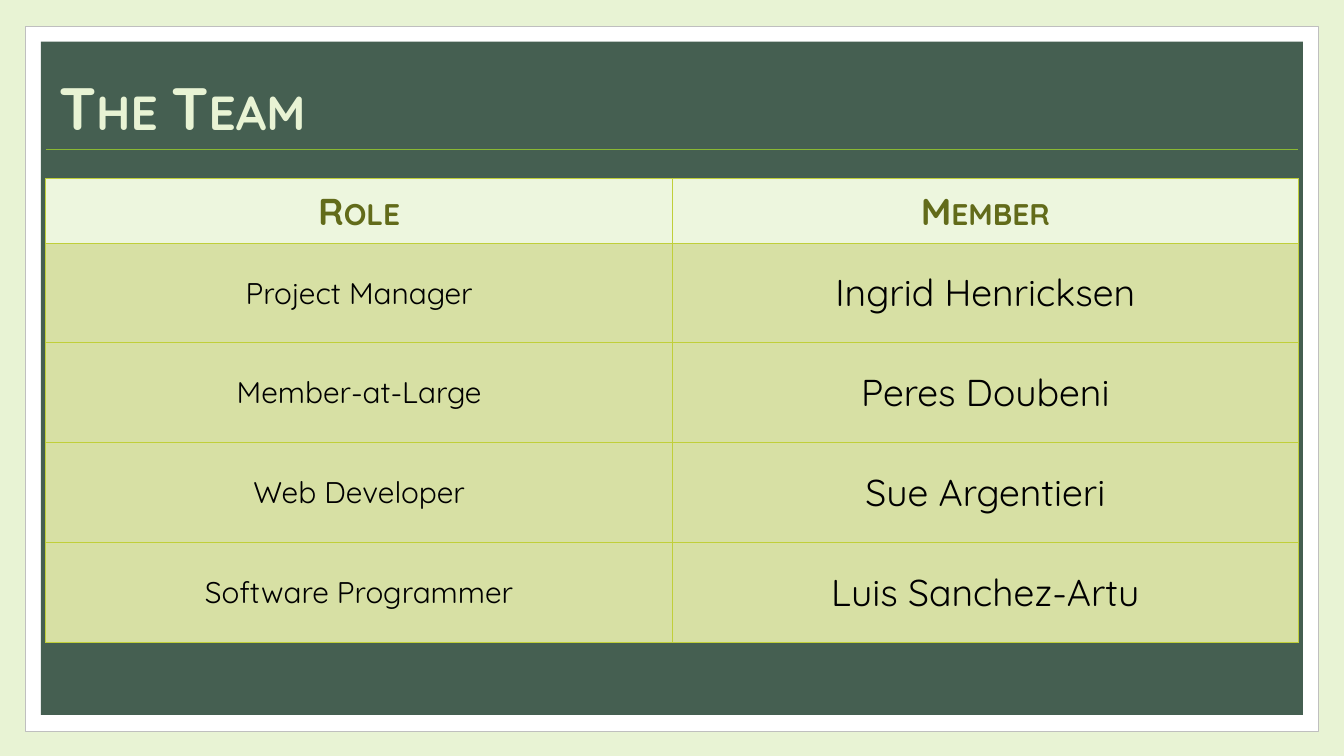
from dataclasses import dataclass

from lxml import etree
from pptx import Presentation
from pptx import util as u
from pptx.dml.color import RGBColor
from pptx.enum import shapes, text
from pptx.oxml import ns

Pt = u.Pt
FONT = "Quicksand"
PALE, GREEN, LIME = "E8F3D4", "455F51", "C0CF3A"


@dataclass
class Panel:
    left: float
    top: float
    width: float
    height: float
    fill: str
    line: str = ""


@dataclass
class Style:
    size: float
    color: str
    bold: bool = False
    caps: bool = False


PANELS = [
    Panel(13.7, 14.4, 692.6, 377.3, "FFFFFF", "BFBFBF"),
    Panel(21.9, 22.3, 676.1, 360.7, GREEN),
]
TITLE = Style(32, PALE, True, True)
HEAD = Style(20, "626B1A", True, True)
BODY = [Style(16, "000000"), Style(20, "000000")]
TEAM = [
    ("Role", "Member"),
    ("Project Manager", "Ingrid Henricksen"),
    ("Member-at-Large", "Peres Doubeni"),
    ("Web Developer", "Sue Argentieri"),
    ("Software Programmer", "Luis Sanchez-Artu"),
]
COLS = (336, 335)
HEAD_ROW, BODY_ROW = 34.4, 53.5
LEFT, TOP, WIDTH = 24.4, 95.8, sum(COLS)


def rgb(code: str) -> RGBColor:
    return RGBColor.from_string(code)


def write(frame, words: str, style: Style) -> None:
    frame.text = words
    run = frame.paragraphs[0].runs[0]
    font = run.font
    font.name, font.size, font.bold = FONT, Pt(style.size), style.bold
    font.color.rgb = rgb(style.color)
    if style.caps:
        run._r.get_or_add_rPr().set("cap", "small")


def add_panel(slide, panel: Panel) -> None:
    box = slide.shapes.add_shape(
        shapes.MSO_SHAPE.RECTANGLE, Pt(panel.left), Pt(panel.top),
        Pt(panel.width), Pt(panel.height))
    box.shadow.inherit = False
    box.fill.solid()
    box.fill.fore_color.rgb = rgb(panel.fill)
    if panel.line:
        box.line.color.rgb = rgb(panel.line)
        box.line.width = Pt(0.5)
    else:
        box.line.fill.background()


def add_rule(slide, y: float, color: str) -> None:
    rule = slide.shapes.add_connector(
        shapes.MSO_CONNECTOR.STRAIGHT, Pt(LEFT), Pt(y), Pt(LEFT + WIDTH), Pt(y))
    rule.line.color.rgb = rgb(color)
    rule.line.width = Pt(0.5)
    etree.SubElement(rule._element.spPr, ns.qn("a:effectLst"))


def add_title(slide, words: str) -> None:
    box = slide.shapes.add_textbox(Pt(LEFT), Pt(35.3), Pt(WIDTH), Pt(45))
    frame = box.text_frame
    frame.word_wrap = True
    frame.margin_left = frame.margin_right = Pt(7.2)
    frame.margin_top = frame.margin_bottom = Pt(7.2)
    write(frame, words, TITLE)
    frame.paragraphs[0].line_spacing = 0.9


def set_edges(cell, color: str) -> None:
    props = cell._tc.get_or_add_tcPr()
    for spot, side in enumerate(("lnL", "lnR", "lnT", "lnB")):
        edge = etree.Element(ns.qn("a:" + side), w=str(Pt(0.5)))
        fill = etree.SubElement(edge, ns.qn("a:solidFill"))
        etree.SubElement(fill, ns.qn("a:srgbClr"), val=color)
        props.insert(spot, edge)


def fill_cell(cell, words: str, style: Style, fill: str) -> None:
    cell.margin_left = cell.margin_right = Pt(5)
    cell.margin_top = cell.margin_bottom = Pt(5)
    cell.vertical_anchor = text.MSO_ANCHOR.MIDDLE
    cell.fill.solid()
    cell.fill.fore_color.rgb = rgb(fill)
    set_edges(cell, LIME)
    write(cell.text_frame, words, style)
    cell.text_frame.paragraphs[0].alignment = text.PP_ALIGN.CENTER


def add_team(slide) -> None:
    high = HEAD_ROW + BODY_ROW * (len(TEAM) - 1)
    table = slide.shapes.add_table(
        len(TEAM), len(COLS), Pt(LEFT), Pt(TOP), Pt(WIDTH), Pt(high)).table
    for col, width in zip(table.columns, COLS):
        col.width = Pt(width)
    for r, row in enumerate(TEAM):
        table.rows[r].height = Pt(BODY_ROW if r else HEAD_ROW)
        for c, words in enumerate(row):
            style, fill = (BODY[c], "D7E0A4") if r else (HEAD, "EDF6DE")
            fill_cell(table.cell(r, c), words, style, fill)


def main() -> None:
    deck = Presentation()
    deck.slide_width, deck.slide_height = Pt(720), Pt(405)
    slide = deck.slides.add_slide(deck.slide_layouts[6])

    # Background and frame
    slide.background.fill.solid()
    slide.background.fill.fore_color.rgb = rgb(PALE)
    for panel in PANELS:
        add_panel(slide, panel)

    # Heading
    add_rule(slide, 80, "8AB833")
    add_title(slide, "The Team")

    # Roles and members
    add_team(slide)
    deck.save("out.pptx")


if __name__ == "__main__":
    main()
